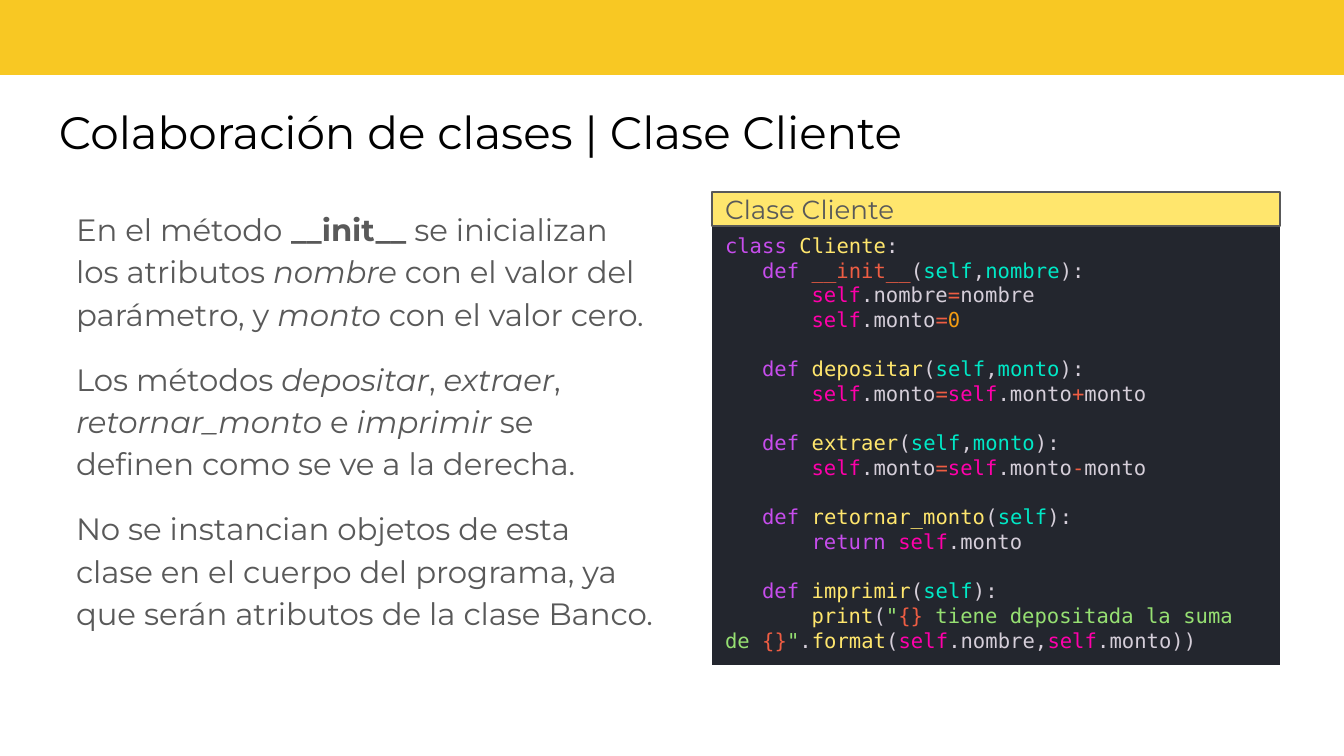
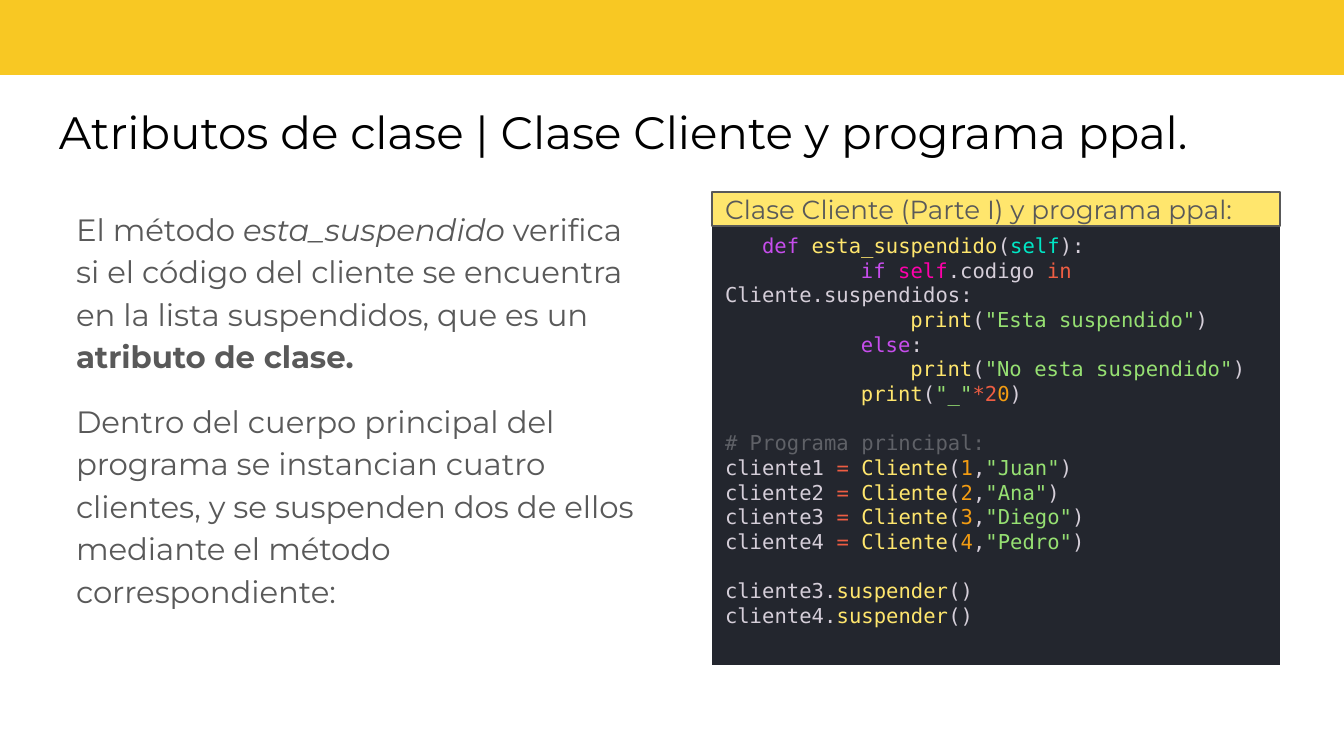
from pptx import Presentation
from pptx.dml.color import RGBColor
from pptx.enum.shapes import MSO_SHAPE as SHAPE
from pptx.enum.text import MSO_ANCHOR as ANCHOR, MSO_AUTO_SIZE as AUTO, PP_ALIGN as ALIGN
from pptx.oxml.ns import qn
from pptx.util import Emu, Pt

SANS, MONO = "Montserrat", "DejaVu Sans Mono"
YELLOW, PALE, DARK, GRAY, BLACK = "F8C823", "FFE66D", "23262E", "595959", "000000"
CODE_CHAR, CODE_LINE = Pt(6.62), Pt(13.2)

TITLE_BOX = (46, 87, 1250, 85)
BODY_BOX = (63, 192, 603, 484)
CODE_BOX = (712, 192, 568, 473)
HEADER_H = 34

PROSE = {".": {}, "b": {"bold": True}, "i": {"italic": True}}
SYNTAX = {
    ".": {"color": "D5CED9"},
    "k": {"color": "C74DED"},
    "f": {"color": PALE},
    "o": {"color": "EE5D43"},
    "a": {"color": "00E8C6"},
    "s": {"color": "FF00AA"},
    "n": {"color": "F39C12"},
    "t": {"color": "96E072"},
    "c": {"color": "5F6167"},
}


def px(n):
    """Turn px, at 134.4 to the inch, into EMU."""
    return Emu(round(n * 914400 / 134.4))


def rgb(value):
    """Turn a hex string into a colour."""
    return RGBColor.from_string(value)


def assign(obj, values):
    """Set each attribute of obj named in a dict."""
    for name, value in values.items():
        setattr(obj, name, value)


def place(sp, box):
    """Move a shape to a px box."""
    assign(sp, dict(zip(("left", "top", "width", "height"), map(px, box))))


def set_frame(sp, anchor, inset):
    """Set wrapping, anchor and vertical inset, and return the text frame."""
    tf = sp.text_frame
    assign(tf, {
        "word_wrap": True, "auto_size": AUTO.NONE, "vertical_anchor": anchor,
        "margin_left": px(13), "margin_right": px(13),
        "margin_top": px(inset), "margin_bottom": px(inset),
    })
    return tf


def add_rect(slide, box, fill, line=None):
    """Add a flat rectangle, outlined if a line colour is given."""
    sp = slide.shapes.add_shape(SHAPE.RECTANGLE, *map(px, box))
    sp.shadow.inherit = False
    sp.fill.solid()
    sp.fill.fore_color.rgb = rgb(fill)
    if line:
        sp.line.color.rgb = rgb(line)
        sp.line.width = Pt(0.75)
    else:
        sp.line.fill.background()
    return sp


def add_runs(p, marked, base, styles=PROSE):
    """Add runs split at ~, each led by the letter of its style."""
    for part in marked.split("~"):
        r = p.add_run()
        r.text = part[1:]
        values = {**base, **styles[part[0]]}
        r.font.color.rgb = rgb(values.pop("color"))
        assign(r.font, values)


def next_paragraph(tf, first, indent=0, **values):
    """Return a left-aligned, unbulleted paragraph with the given spacing."""
    p = tf.paragraphs[0] if first else tf.add_paragraph()
    assign(p, {"alignment": ALIGN.LEFT, "space_before": Pt(0), **values})
    pPr = p._p.get_or_add_pPr()
    pPr.set("marL", "0")
    pPr.set("indent", str(indent))
    pPr.append(pPr.makeelement(qn("a:buNone"), {}))
    return p


def add_band(prs, slide):
    """Put the yellow band behind everything, on the slide master."""
    sp = add_rect(slide, (-1, -7, 1348, 82), YELLOW)
    prs.slide_master.shapes.element.insert(2, sp.element)


def fill_title(slide, text, box):
    """Write the slide title in its placeholder."""
    sp = slide.shapes.title
    place(sp, box)
    p = next_paragraph(set_frame(sp, ANCHOR.BOTTOM, 13), True)
    add_runs(p, "." + text, {"name": SANS, "size": Pt(24.3), "color": BLACK})


def fill_body(slide, paragraphs, box):
    """Write the explanation in the body placeholder."""
    sp = slide.placeholders[1]
    place(sp, box)
    tf = set_frame(sp, ANCHOR.TOP, 13)
    for i, marked in enumerate(paragraphs):
        p = next_paragraph(tf, i == 0, line_spacing=1.15, space_before=Pt(12 if i else 0))
        add_runs(p, marked, {"name": SANS, "size": Pt(16.5), "color": GRAY})


def add_code_panel(slide, heading, blocks, box):
    """Draw a headed code listing, with one line of space between blocks."""
    x, y, w, h = box
    panel = add_rect(slide, (x, y + HEADER_H, w, h - HEADER_H), DARK)
    tf = set_frame(panel, ANCHOR.TOP, 7)
    for i, block in enumerate(blocks):
        for j, (indent, marked) in enumerate(block):
            gap = CODE_LINE if i and j == 0 else Pt(0)
            p = next_paragraph(tf, i == j == 0, indent * CODE_CHAR, space_before=gap)
            add_runs(p, marked, {"name": MONO, "size": Pt(11)}, SYNTAX)
    header = add_rect(slide, (x, y, w, HEADER_H), PALE, GRAY)
    p = next_paragraph(set_frame(header, ANCHOR.MIDDLE, 7), True)
    add_runs(p, "." + heading, {"name": SANS, "size": Pt(14), "color": GRAY})


def method(name, *params, style="f"):
    """Return the marked def line of a method of the class."""
    args = "~.,".join("~a" + param for param in ("self", *params))
    return 3, f"kdef~. ~{style}{name}~.({args}~.):"


def update(operator):
    """Return the marked line that changes the amount."""
    return 7, f"sself~..monto~o=~sself~..monto~o{operator}~.monto"


def show(indent, text):
    """Return a marked line that prints a text."""
    return indent, f'fprint~.(~t"{text}"~.)'


SLIDES = [
    {
        "title": "Colaboración de clases | Clase Cliente",
        "body": [
            ".En el método~b __init__~. se inicializan los atributos ~inombre"
            "~. con el valor del parámetro, y ~imonto~. con el valor cero.",
            ".Los métodos ~idepositar~., ~iextraer~., ~iretornar_monto~. e ~iimprimir"
            "~. se definen como se ve a la derecha.",
            ".No se instancian objetos de esta clase en el cuerpo del programa, "
            "ya que serán atributos de la clase Banco.",
        ],
        "heading": "Clase Cliente",
        "code": [
            [
                (0, "kclass~. ~fCliente~.:"),
                method("__init__", "nombre", style="o"),
                (7, "sself~..nombre~o=~.nombre"),
                (7, "sself~..monto~o=~n0"),
            ],
            [method("depositar", "monto"), update("+")],
            [method("extraer", "monto"), update("-")],
            [method("retornar_monto"), (7, "kreturn~. ~sself~..monto")],
            [
                method("imprimir"),
                (7, 'fprint~.(~t"~o{}~t tiene depositada la suma de ~o{}~t"~..~fformat'
                    "~.(~sself~..nombre,~sself~..monto))"),
            ],
        ],
    },
    {
        "title": "Atributos de clase | Clase Cliente y programa ppal.",
        "body": [
            ".El método ~iesta_suspendido~. verifica si el código del cliente se encuentra "
            "en la lista suspendidos, que es un ~batributo de clase.",
            ".Dentro del cuerpo principal del programa se instancian cuatro clientes, "
            "y se suspenden dos de ellos mediante el método correspondiente:",
        ],
        "heading": "Clase Cliente (Parte I) y programa ppal:",
        "code": [
            [
                method("esta_suspendido"),
                (11, "kif~. ~sself~..codigo ~oin~. Cliente.suspendidos:"),
                show(15, "Esta suspendido"),
                (11, "kelse~.:"),
                show(15, "No esta suspendido"),
                (11, 'fprint~.(~t"_"~o*2~n0~.)'),
            ],
            [(0, "c# Programa principal:")] + [
                (0, f'.cliente{n} ~o=~. ~fCliente~.(~n{n}~.,~t"{name}"~.)')
                for n, name in enumerate(("Juan", "Ana", "Diego", "Pedro"), 1)
            ],
            [(0, f".cliente{n}.~fsuspender~.()") for n in (3, 4)],
        ],
    },
]


def add_class_slide(prs, content):
    """Add a slide with a title, an explanation and a code listing."""
    slide = prs.slides.add_slide(prs.slide_layouts[1])
    fill_title(slide, content["title"], TITLE_BOX)
    fill_body(slide, content["body"], BODY_BOX)
    add_code_panel(slide, content["heading"], content["code"], CODE_BOX)
    return slide


def main():
    """Build and save the presentation."""
    prs = Presentation()
    assign(prs, {"slide_width": px(1344), "slide_height": px(756)})
    slides = [add_class_slide(prs, content) for content in SLIDES]
    add_band(prs, slides[0])
    prs.save("out.pptx")


if __name__ == "__main__":
    main()
